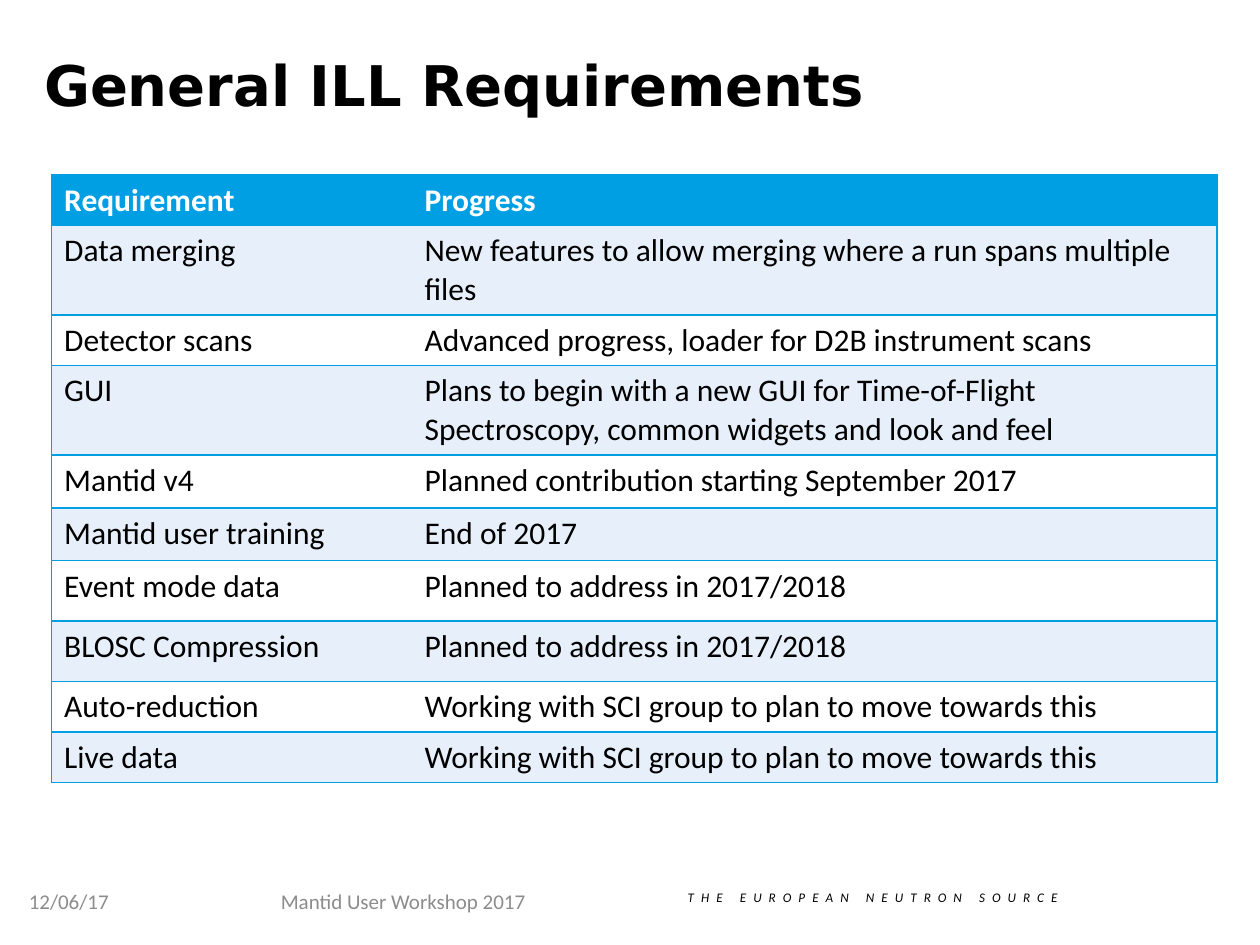
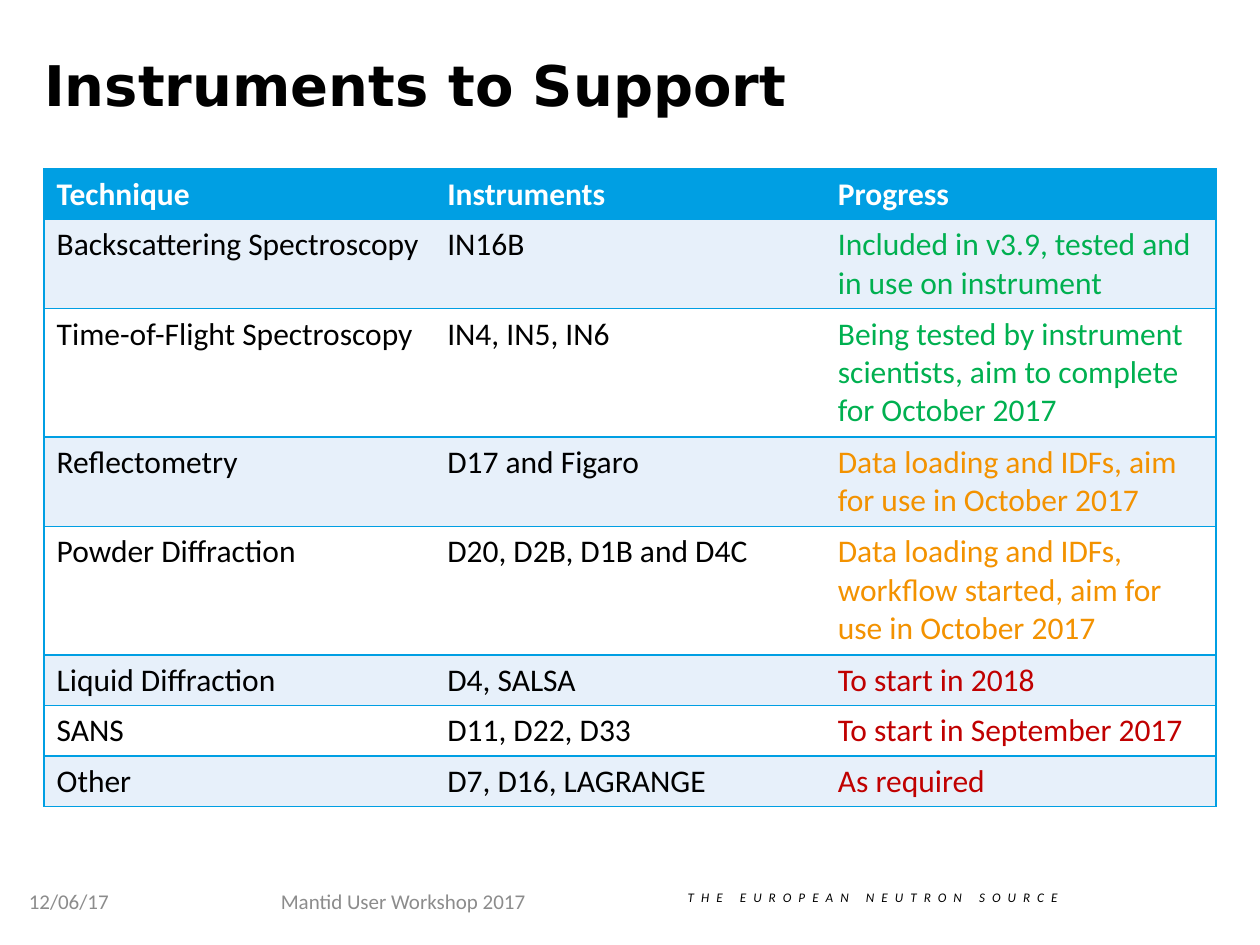
"""Build two progress slides, each a titled table above a shared footer."""
from dataclasses import dataclass

from lxml import etree
from pptx import Presentation
from pptx.dml.color import RGBColor
from pptx.enum.text import MSO_ANCHOR, MSO_AUTO_SIZE, PP_ALIGN
from pptx.oxml.ns import qn
from pptx.util import Inches, Pt

LEFT, CENTER = PP_ALIGN.LEFT, PP_ALIGN.CENTER
TOP, MIDDLE = MSO_ANCHOR.TOP, MSO_ANCHOR.MIDDLE
NO_AUTOFIT = MSO_AUTO_SIZE.NONE


@dataclass(frozen=True)
class Theme:
    title_font: str = "DejaVu Sans"
    body_font: str = "Calibri"
    title_size: float = 32
    table_size: float = 18
    footer_size: float = 12
    tagline_size: float = 7.5
    black: str = "000000"
    white: str = "FFFFFF"
    blue: str = "009FE3"
    pale: str = "E7F0FA"
    grey: str = "8C8C8C"
    done: str = "00B050"
    ongoing: str = "F39200"
    waiting: str = "C00000"


THEME = Theme()


def style(para, name, size, color, bold=False, italic=False):
    """Set the font of a whole paragraph."""
    font = para.font
    font.name, font.size = name, Pt(size)
    font.bold, font.italic = bold, italic
    font.color.rgb = RGBColor.from_string(color)


def add_border(cell, side, visible):
    """Add one cell edge, either a thin blue line or none."""
    line = etree.SubElement(cell._tc.get_or_add_tcPr(), qn(f"a:ln{side}"), w=str(Pt(1)))
    if visible:
        fill = etree.SubElement(line, qn("a:solidFill"))
        etree.SubElement(fill, qn("a:srgbClr"), val=THEME.blue)
    else:
        etree.SubElement(line, qn("a:noFill"))


FOOTERS = [
    ("12/06/17", (0.13, 6.95, 1.29, 0.4), LEFT, MIDDLE,
     THEME.footer_size, THEME.grey, False, 0),
    ("Mantid User Workshop 2017", (1.51, 6.95, 3.38, 0.4), CENTER, MIDDLE,
     THEME.footer_size, THEME.grey, False, 0),
    ("THE EUROPEAN NEUTRON SOURCE", (5.1, 7.01, 3.65, 0.23), CENTER, TOP,
     THEME.tagline_size, THEME.black, True, 4),
]

PAGES = [
    {
        "title": "General ILL Requirements",
        "origin": (0.41, 1.39),
        "widths": [2.86, 6.39],
        "heights": [0.4, 0.71, 0.4, 0.71, 0.42, 0.42, 0.48, 0.48, 0.4, 0.4],
        "progress_colors": [THEME.black] * 9,
        "rows": [
            ("Requirement", "Progress"),
            ("Data merging", "New features to allow merging where a run spans multiple files"),
            ("Detector scans", "Advanced progress, loader for D2B instrument scans"),
            ("GUI", "Plans to begin with a new GUI for Time-of-Flight Spectroscopy, "
                    "common widgets and look and feel"),
            ("Mantid v4", "Planned contribution starting September 2017"),
            ("Mantid user training", "End of 2017"),
            ("Event mode data", "Planned to address in 2017/2018"),
            ("BLOSC Compression", "Planned to address in 2017/2018"),
            ("Auto-reduction", "Working with SCI group to plan to move towards this"),
            ("Live data", "Working with SCI group to plan to move towards this"),
        ],
    },
    {
        "title": "Instruments to Support",
        "origin": (0.35, 1.34),
        "widths": [3.1] * 3,
        "heights": [0.4, 0.71, 1.02, 0.71, 1.02, 0.4, 0.4, 0.4],
        "progress_colors": [THEME.done] * 2 + [THEME.ongoing] * 2 + [THEME.waiting] * 3,
        "rows": [
            ("Technique", "Instruments", "Progress"),
            ("Backscattering Spectroscopy", "IN16B",
             "Included in v3.9, tested and in use on instrument"),
            ("Time-of-Flight Spectroscopy", "IN4, IN5, IN6",
             "Being tested by instrument scientists, aim to complete for October 2017"),
            ("Reflectometry", "D17 and Figaro",
             "Data loading and IDFs, aim for use in October 2017"),
            ("Powder Diffraction", "D20, D2B, D1B and D4C",
             "Data loading and IDFs, workflow started, aim for use in October 2017"),
            ("Liquid Diffraction", "D4, SALSA", "To start in 2018"),
            ("SANS", "D11, D22, D33", "To start in September 2017"),
            ("Other", "D7, D16, LAGRANGE", "As required"),
        ],
    },
]

deck = Presentation()
deck.slide_width, deck.slide_height = Inches(10), Inches(7.5)
title_only = deck.slide_layouts[5]

for page in PAGES:
    slide = deck.slides.add_slide(title_only)

    title = slide.shapes.title
    title.left, title.top = Inches(0.25), Inches(0.35)
    title.width, title.height = Inches(9.54), Inches(0.98)
    frame = title.text_frame
    frame.text = page["title"]
    frame.auto_size, frame.vertical_anchor = NO_AUTOFIT, TOP
    para = frame.paragraphs[0]
    para.alignment = LEFT
    style(para, THEME.title_font, THEME.title_size, THEME.black, bold=True)

    for text, place, align, anchor, size, color, italic, tracking in FOOTERS:
        box = slide.shapes.add_textbox(*map(Inches, place))
        frame = box.text_frame
        frame.text = text
        frame.word_wrap, frame.vertical_anchor = True, anchor
        para = frame.paragraphs[0]
        para.alignment = align
        style(para, THEME.body_font, size, color, italic=italic)
        if tracking:
            para.runs[0].font._element.set("spc", str(tracking * 100))

    rows, widths, heights = page["rows"], page["widths"], page["heights"]
    table = slide.shapes.add_table(
        len(rows), len(widths), *map(Inches, page["origin"]),
        Inches(sum(widths)), Inches(sum(heights))).table
    for column, width in zip(table.columns, widths):
        column.width = Inches(width)
    for row, height in zip(table.rows, heights):
        row.height = Inches(height)

    last = len(widths) - 1
    for r, texts in enumerate(rows):
        header = r == 0
        fill = THEME.blue if header else THEME.pale if r % 2 else THEME.white
        for c, text in enumerate(texts):
            cell = table.cell(r, c)
            for side, visible in (("L", c == 0), ("R", c == last), ("T", True), ("B", True)):
                add_border(cell, side, visible)
            cell.fill.solid()
            cell.fill.fore_color.rgb = RGBColor.from_string(fill)
            cell.text = text
            color = THEME.white if header else THEME.black
            if c == last and not header:
                color = page["progress_colors"][r - 1]
            style(cell.text_frame.paragraphs[0], THEME.body_font, THEME.table_size,
                  color, bold=header)

deck.save("out.pptx")
